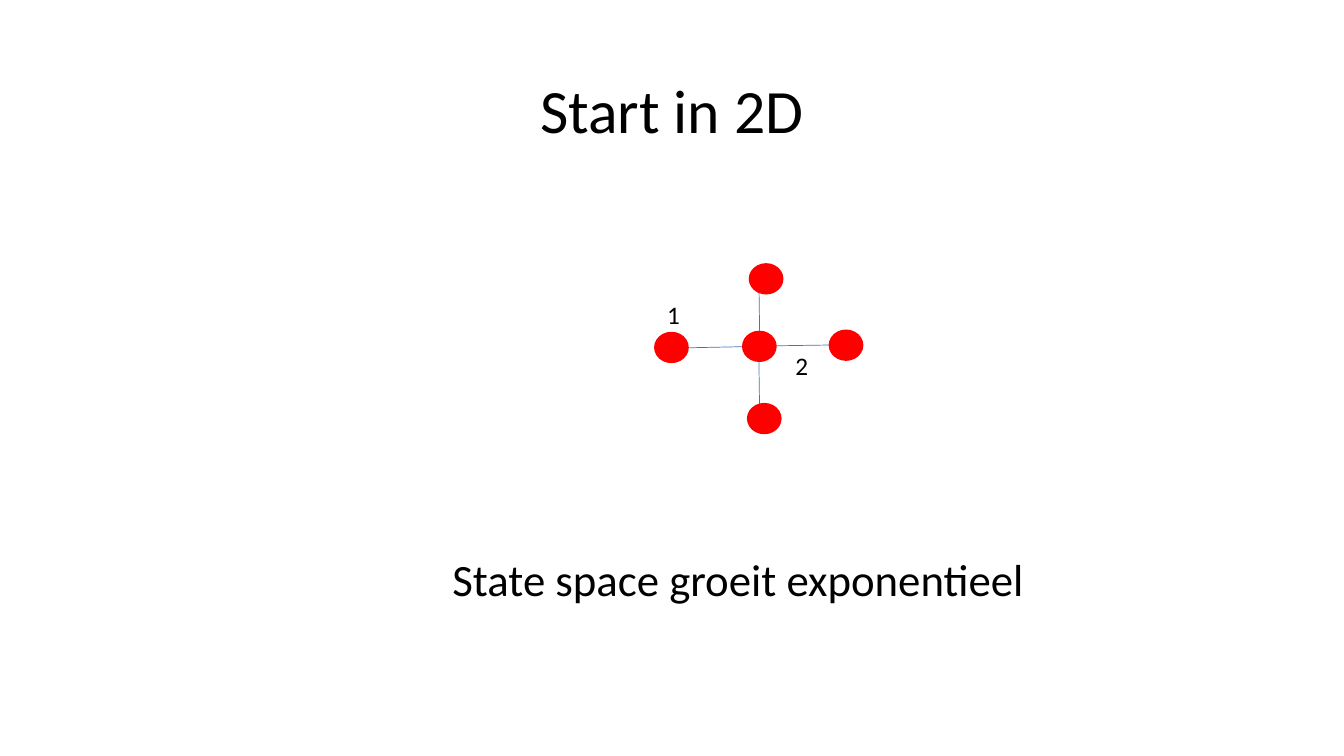
import dataclasses

import pptx
import pptx.dml.color
import pptx.enum.shapes
import pptx.enum.text
import pptx.oxml
import pptx.oxml.ns
import pptx.util

Pt = pptx.util.Pt
RGB = pptx.dml.color.RGBColor
Anchor = pptx.enum.text.MSO_ANCHOR
Align = pptx.enum.text.PP_ALIGN


@dataclasses.dataclass(frozen=True)
class Theme:
    font: str = "Calibri"
    ink: RGB = RGB(0, 0, 0)
    node: RGB = RGB(0xFF, 0, 0)
    edge: RGB = RGB(0x44, 0x72, 0xC4)
    title_size: int = 44
    message_size: int = 32
    label_size: int = 18
    edge_width: float = 0.5
    node_width: float = 24.8
    node_height: float = 22.4


class SlideBuilder:
    def __init__(self, slide, theme):
        self.slide = slide
        self.theme = theme

    def set_text(self, frame, text, size):
        frame.text = text
        font = frame.paragraphs[0].runs[0].font
        font.name = self.theme.font
        font.size = Pt(size)
        font.color.rgb = self.theme.ink

    def title(self, text, left, top, width, height):
        heading = self.slide.shapes.title
        heading.left, heading.top = Pt(left), Pt(top)
        heading.width, heading.height = Pt(width), Pt(height)
        self.set_text(heading.text_frame, text, self.theme.title_size)
        heading.text_frame.vertical_anchor = Anchor.MIDDLE
        heading.text_frame.paragraphs[0].alignment = Align.CENTER
        heading.text_frame.paragraphs[0].line_spacing = 0.9

    def text(self, text, left, top, width, height, size):
        box = self.slide.shapes.add_textbox(Pt(left), Pt(top), Pt(width), Pt(height))
        self.set_text(box.text_frame, text, size)
        box.text_frame.word_wrap = False
        box.text_frame.auto_size = pptx.enum.text.MSO_AUTO_SIZE.SHAPE_TO_FIT_TEXT

    def edge(self, start, end):
        line = self.slide.shapes.add_connector(
            pptx.enum.shapes.MSO_CONNECTOR.STRAIGHT, *map(Pt, start + end))
        line.line.color.rgb = self.theme.edge
        line.line.width = Pt(self.theme.edge_width)
        properties = line._element.spPr
        properties.append(pptx.oxml.parse_xml(
            f"<a:effectLst {pptx.oxml.ns.nsdecls('a')}/>"))

    def node(self, x, y):
        width, height = self.theme.node_width, self.theme.node_height
        dot = self.slide.shapes.add_shape(
            pptx.enum.shapes.MSO_SHAPE.OVAL,
            Pt(x - width / 2), Pt(y - height / 2), Pt(width), Pt(height))
        dot.shadow.inherit = False
        dot.fill.solid()
        dot.fill.fore_color.rgb = self.theme.node
        dot.line.fill.background()


presentation = pptx.Presentation()
presentation.slide_width, presentation.slide_height = Pt(960), Pt(540)
theme = Theme()
builder = SlideBuilder(
    presentation.slides.add_slide(presentation.slide_layouts[5]), theme)

builder.title("Start in 2D", 66, 28.75, 828, 104.4)

# State graph: edges lie behind the nodes
edges = [
    ((533.5, 247.6), (492.4, 248.4)),
    ((542.1, 258.6), (542.6, 293)),
    ((542.1, 201), (542.6, 236.2)),
    ((596, 246.4), (554.6, 247)),
]
for start, end in edges:
    builder.edge(start, end)

centre = (542.4, 247.4)
neighbours = [(479.6, 248.2), (545.9, 299), (547.2, 199.2), (604.3, 246.6)]
for x, y in [centre, *neighbours]:
    builder.node(x, y)

# Step numbers
for number, left, top in [("1", 469.4, 210.2), ("2", 561, 247)]:
    builder.text(number, left, top, 23.8, 29.1, theme.label_size)

# Conclusion
builder.text("State space groeit exponentieel", 316.1, 390.2, 427, 46, theme.message_size)

presentation.save("out.pptx")
